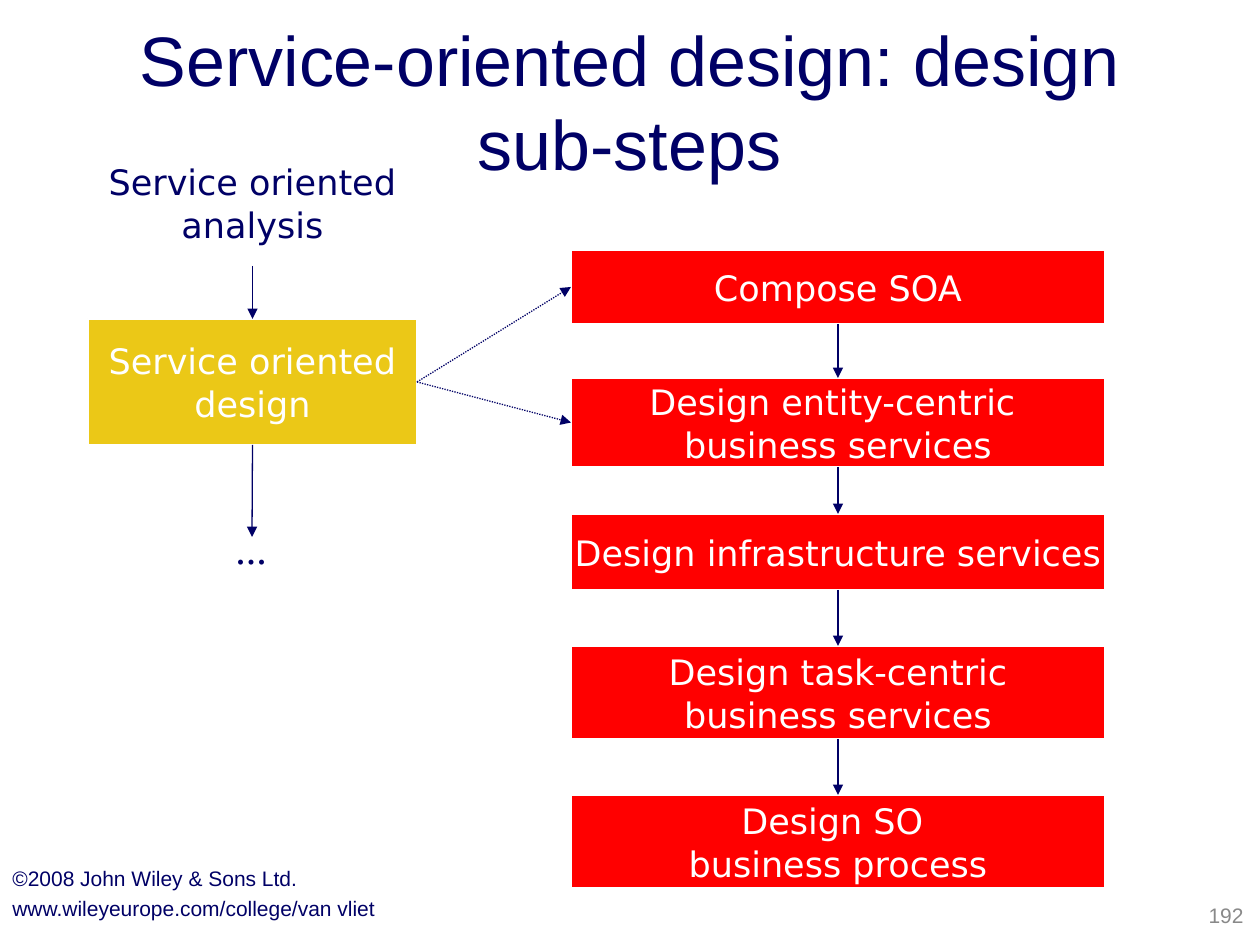
import dataclasses

import lxml.etree
import pptx
import pptx.dml.color
import pptx.enum.dml
import pptx.enum.shapes
import pptx.enum.text
import pptx.oxml.ns
import pptx.util

ALIGN = pptx.enum.text.PP_ALIGN
ANCHOR = pptx.enum.text.MSO_ANCHOR
SHAPE = pptx.enum.shapes.MSO_SHAPE
BOTTOM, TOP, LEFT, RIGHT = 2, 0, 1, 3


@dataclasses.dataclass(frozen=True)
class Theme:
    """Hold the colours, fonts and type sizes of the slide."""
    navy: str = "000066"
    white: str = "FFFFFF"
    gold: str = "EBC817"
    red: str = "FF0000"
    gray: str = "898989"
    plain_font: str = "Arial"
    diagram_font: str = "DejaVu Sans"
    dots_font: str = "Times New Roman"
    title_size: int = 40
    dots_size: int = 24
    diagram_size: int = 20
    footer_size: int = 12
    line_width: float = 0.75


THEME = Theme()


def px(length):
    """Turn a length in px into EMU."""
    return pptx.util.Emu(round(length * 914400 / 126))


def rgb(value):
    """Turn a hex string into a colour."""
    return pptx.dml.color.RGBColor.from_string(value)


def write(shape, lines, size, font, color, align=ALIGN.LEFT, anchor=ANCHOR.TOP,
          spacing=None, gap=0, wrap=True, inset=True):
    """Write one paragraph for each line into a shape."""
    frame = shape.text_frame
    frame.word_wrap = wrap
    frame.vertical_anchor = anchor
    frame.margin_left = frame.margin_right = pptx.util.Inches(0.1 if inset else 0)
    frame.margin_top = frame.margin_bottom = pptx.util.Inches(0.05 if inset else 0)
    for index, line in enumerate(lines):
        paragraph = frame.add_paragraph() if index else frame.paragraphs[0]
        paragraph.alignment = align
        if spacing:
            paragraph.line_spacing = spacing
        if index and gap:
            paragraph.space_before = pptx.util.Pt(gap)
        run = paragraph.add_run()
        run.text = line
        run.font.size = pptx.util.Pt(size)
        run.font.name = font
        run.font.color.rgb = rgb(color)


def add_text(slide, box, lines, size, font, color, **layout):
    """Add a text box that fills the given box."""
    shape = slide.shapes.add_textbox(*map(px, box))
    write(shape, lines, size, font, color, **layout)
    return shape


def add_stage(slide, box, lines, fill=None):
    """Add a centred diagram label, on a filled rectangle if a fill is given."""
    if fill:
        shape = slide.shapes.add_shape(SHAPE.RECTANGLE, *map(px, box))
        shape.shadow.inherit = False
        shape.fill.solid()
        shape.fill.fore_color.rgb = rgb(fill)
        shape.line.color.rgb = rgb(THEME.white)
        shape.line.width = pptx.util.Pt(THEME.line_width)
    else:
        shape = slide.shapes.add_textbox(*map(px, box))
    write(shape, lines, THEME.diagram_size, THEME.diagram_font,
          THEME.white if fill else THEME.navy, align=ALIGN.CENTER,
          anchor=ANCHOR.MIDDLE, spacing=1.02, wrap=False)
    return shape


def add_arrow(slide, start, start_side, end, end_side, dotted=False):
    """Join two shapes with an arrow."""
    arrow = slide.shapes.add_connector(
        pptx.enum.shapes.MSO_CONNECTOR.STRAIGHT, 0, 0, 0, 0)
    arrow.begin_connect(start, start_side)
    arrow.end_connect(end, end_side)
    arrow.line.color.rgb = rgb(THEME.navy)
    arrow.line.width = pptx.util.Pt(THEME.line_width)
    if dotted:
        arrow.line.dash_style = pptx.enum.dml.MSO_LINE.ROUND_DOT
    name = pptx.oxml.ns.qn
    outline = arrow.line._get_or_add_ln()
    lxml.etree.SubElement(outline, name("a:tailEnd"), type="triangle")
    lxml.etree.SubElement(arrow._element.spPr, name("a:effectLst"))
    return arrow


def add_title(slide, box):
    """Add the slide title."""
    add_text(slide, box, ["Service-oriented design: design sub-steps"],
             THEME.title_size, THEME.plain_font, THEME.navy,
             align=ALIGN.CENTER, anchor=ANCHOR.MIDDLE, inset=False)


def add_process(slide, box):
    """Add the main process column and return its design stage."""
    left, top, width, height = box
    analysis = add_stage(slide, (left, top, width, height),
                         ["Service oriented", "analysis"])
    design = add_stage(slide, (left, top + 179, width, height),
                       ["Service oriented", "design"], THEME.gold)
    dots = add_text(slide, (left + 135, top + 397, 58, 59), ["..."],
                    THEME.dots_size, THEME.dots_font, THEME.navy,
                    spacing=0.54, wrap=False)
    add_arrow(slide, analysis, BOTTOM, design, TOP)
    add_arrow(slide, design, BOTTOM, dots, TOP)
    return design


def add_sub_steps(slide, box):
    """Add the chain of design sub-steps and return its stages."""
    left, top, width, height = box
    steps = [
        (0, 74, ["Compose SOA"]),
        (128, 89, ["Design entity-centric ", "business services"]),
        (264, 76, ["Design infrastructure services"]),
        (396, 93, ["Design task-centric", "business services"]),
        (height - 93, 93, ["Design SO ", "business process"]),
    ]
    stages = [add_stage(slide, (left, top + offset, width, depth), lines, THEME.red)
              for offset, depth, lines in steps]
    for upper, lower in zip(stages, stages[1:]):
        add_arrow(slide, upper, BOTTOM, lower, TOP)
    return stages


def add_footer(slide, box):
    """Add the copyright lines and the page number."""
    left, top, width, height = box
    add_text(slide, (left, top, 829, height),
             ["©2008 John Wiley & Sons Ltd.", "www.wileyeurope.com/college/van vliet"],
             THEME.footer_size, THEME.plain_font, THEME.navy, gap=3)
    add_text(slide, (left + width - 100, top + 41, 100, 30), ["192"],
             THEME.footer_size, THEME.plain_font, THEME.gray,
             align=ALIGN.RIGHT, anchor=ANCHOR.MIDDLE)


def main():
    """Build and save the slide."""
    presentation = pptx.Presentation()
    presentation.slide_width = px(1260)
    presentation.slide_height = px(945)
    slide = presentation.slides.add_slide(presentation.slide_layouts[6])
    add_title(slide, (94, 21, 1071, 158))
    design = add_process(slide, (88, 140, 329, 126))
    sub_steps = add_sub_steps(slide, (571, 250, 534, 638))
    for step in sub_steps[:2]:
        add_arrow(slide, design, RIGHT, step, LEFT, dotted=True)
    add_footer(slide, (0, 859, 1256, 86))
    presentation.save("out.pptx")


if __name__ == "__main__":
    main()
